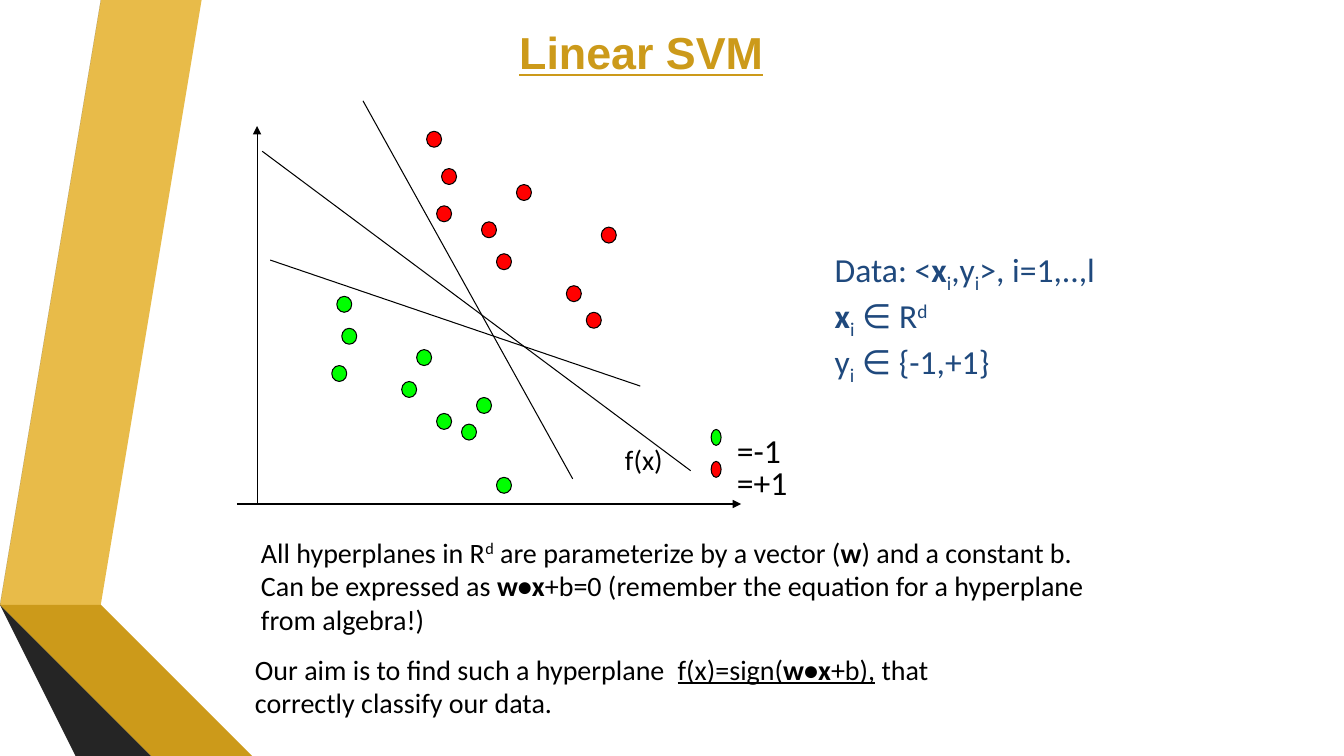
import pptx
import pptx.util
import pptx.dml.color
import pptx.enum.shapes
import pptx.enum.text
import lxml.etree

# Content
TITLE = "Linear SVM"
# Each text: left, top, width, height, size, colour, lines of (words, style).
# Styles: b bold, u underline, _ subscript, ^ superscript
TEXTS = [
    (7.21, 4.22, 0.64, 0.51, 24, "000000", [[("=-1", "")]]),
    (7.21, 4.53, 0.71, 0.51, 24, "000000", [[("=+1", "")]]),
    (8.18, 2.42, 2.82, 1.72, 24, "1F497D", [
        [("Data: <", ""), ("x", "b"), ("i", "_"), (",y", ""), ("i", "_"), (">, i=1,..,l", "")],
        [("x", "b"), ("i", "_"), (" ∈ R", ""), ("d", "^")],
        [("y", ""), ("i", "_"), (" ∈ {-1,+1}", "")],
    ]),
    (2.49, 5.26, 8.5, 1.11, 20, "000000", [
        [("All hyperplanes in R", ""), ("d", "^"), (" are parameterize by a vector (", ""),
         ("w", "b"), (") and a constant b.", "")],
        [("Can be expressed as ", ""), ("w•x", "b"),
         ("+b=0 (remember the equation for a hyperplane", "")],
        [("from algebra!)", "")],
    ]),
    (2.43, 6.42, 7.01, 0.77, 20, "000000", [
        [("Our aim is to find such a hyperplane  ", ""), ("f(x)=sign(", "u"), ("w•x", "bu"),
         ("+b),", "u"), (" that", "")],
        [("correctly classify our data.", "")],
    ]),
    (6.1, 4.34, 0.58, 0.44, 20, "000000", [[("f(x)", "")]]),
]

# Plot grid: columns along the horizontal axis, rows along the vertical one
PLOT_LEFT, PLOT_TOP, PLOT_RIGHT, PLOT_BOTTOM = 2.35, 1.25, 7.35, 5
AXIS_X = 2.55
COLUMN = (PLOT_RIGHT - PLOT_LEFT) / 101
ROW = (PLOT_BOTTOM - PLOT_TOP) / 71
GREEN, RED = "00FF00", "FF0000"
# Classes of dots as (column, row)
CLASSES = {
    GREEN: [(20, 32), (21, 38), (48, 51), (36, 42), (40, 54), (45, 56), (19, 45),
            (33, 48), (52, 66)],
    RED: [(38, 1), (56, 11), (73, 19), (70, 35), (40, 15), (52, 24), (66, 30),
          (49, 18), (41, 8)],
}
LEGEND = {GREEN: (95, 57), RED: (95, 63)}
AXES = [(AXIS_X, PLOT_BOTTOM, AXIS_X, PLOT_TOP),
        (PLOT_LEFT, PLOT_BOTTOM, PLOT_RIGHT, PLOT_BOTTOM)]
HYPERPLANES = [(2.6, 1.5, 6.85, 4.67), (2.68, 2.58, 6.35, 3.83), (5.68, 4.75, 3.6, 1)]

# Ribbons at the left edge: colour and outline
RIBBONS = [
    ("E8BB49", [(1.73, 0), (1.45, 0), (0.5, 5.78), (0.77, 5.83)]),
    ("585858", [(1.39, 0), (1.11, 0), (0.16, 5.73), (0.44, 5.77)]),
    ("252525", [(0.16, 5.73), (1.45, 7.5), (1.51, 7.5)]),
    ("876711", [(0.5, 5.79), (2.08, 7.5), (2.14, 7.5)]),
    ("CC9A1A", [(0.5, 5.78), (0.5, 5.79), (2.14, 7.5), (2.83, 7.5), (0.77, 5.83)]),
    ("404040", [(0.16, 5.73), (1.51, 7.5), (2.02, 7.5), (0.48, 5.83), (0.44, 5.77)]),
]

deck = pptx.Presentation()
deck.slide_width = pptx.util.Inches(13.33)
deck.slide_height = pptx.util.Inches(7.5)
page = deck.slides.add_slide(deck.slide_layouts[6])


def inches(*lengths):
    return [pptx.util.Inches(length) for length in lengths]


def colour(value):
    return pptx.dml.color.RGBColor.from_string(value)


def paint(shape, fill, outlined=False):
    shape.shadow.inherit = False
    shape.fill.solid()
    shape.fill.fore_color.rgb = colour(fill)
    if outlined:
        shape.line.color.rgb = colour("000000")
        shape.line.width = pptx.util.Pt(0.75)
    else:
        shape.line.fill.background()


def add_dot(column, row, columns_wide, fill):
    place = inches(PLOT_LEFT + column * COLUMN, PLOT_TOP + row * ROW,
                   columns_wide * COLUMN, 3 * ROW)
    dot = page.shapes.add_shape(pptx.enum.shapes.MSO_SHAPE.OVAL, *place)
    paint(dot, fill, outlined=True)


def add_line(ends, arrow=False):
    line = page.shapes.add_connector(pptx.enum.shapes.MSO_CONNECTOR.STRAIGHT, *inches(*ends))
    line.line.color.rgb = colour("000000")
    line.line.width = pptx.util.Pt(0.75)
    if arrow:
        tail = lxml.etree.SubElement(line.line._get_or_add_ln(), pptx.oxml.ns.qn("a:tailEnd"))
        tail.set("type", "triangle")
    lxml.etree.SubElement(line._element.spPr, pptx.oxml.ns.qn("a:effectLst"))


def add_text(left, top, width, height, size, ink, lines, face="Calibri"):
    box = page.shapes.add_textbox(*inches(left, top, width, height))
    box.text_frame.word_wrap = False
    for number, line in enumerate(lines):
        para = box.text_frame.add_paragraph() if number else box.text_frame.paragraphs[0]
        para.alignment = pptx.enum.text.PP_ALIGN.LEFT
        para.font.name = face
        para.font.size = pptx.util.Pt(size)
        para.font.color.rgb = colour(ink)
        for words, style in line:
            span = para.add_run()
            span.text = words
            if "b" in style:
                span.font.bold = True
            if "u" in style:
                span.font.underline = True
            if style in ("_", "^"):
                shift = "-25000" if style == "_" else "30000"
                span.font._element.set("baseline", shift)
    return box


# Ribbons
for fill, outline in RIBBONS:
    builder = page.shapes.build_freeform(*outline[0], scale=pptx.util.Inches(1))
    builder.add_line_segments(outline[1:], close=True)
    paint(builder.convert_to_shape(), fill)

# Plot: dots, axes, legend and candidate hyperplanes
for fill, dots in CLASSES.items():
    for column, row in dots:
        add_dot(column, row, 3, fill)
for axis in AXES:
    add_line(axis, arrow=True)
for fill, (column, row) in LEGEND.items():
    add_dot(column, row, 2, fill)
for hyperplane in HYPERPLANES:
    add_line(hyperplane)

# Texts
for text in TEXTS:
    add_text(*text)
title = add_text(5.15, 0.25, 3.73, 0.54, 32, "CC9A1A", [[(TITLE, "bu")]], face="Arial")
frame = title.text_frame
frame.word_wrap = True
frame.margin_left = frame.margin_top = frame.margin_right = frame.margin_bottom = 0

deck.save("out.pptx")
